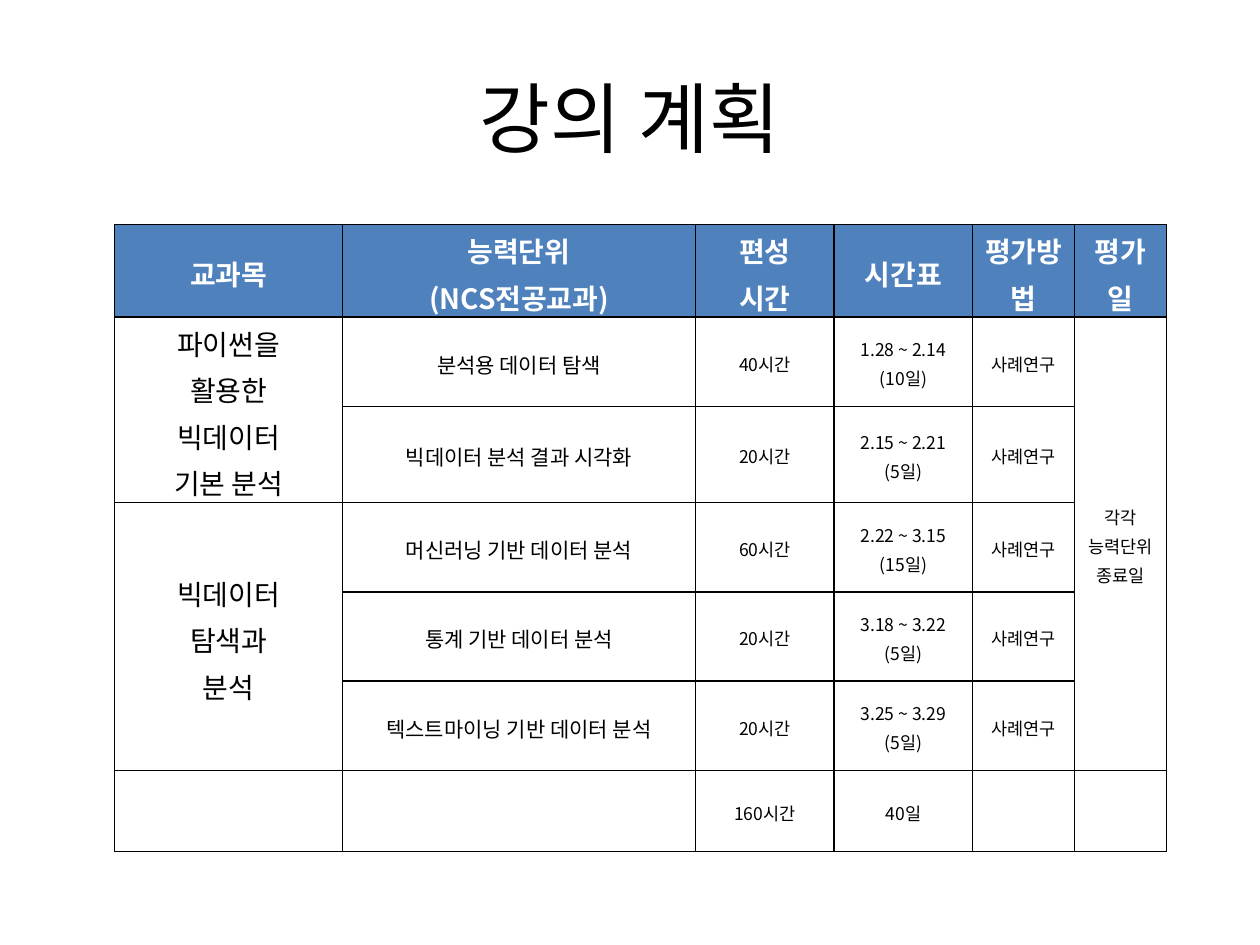
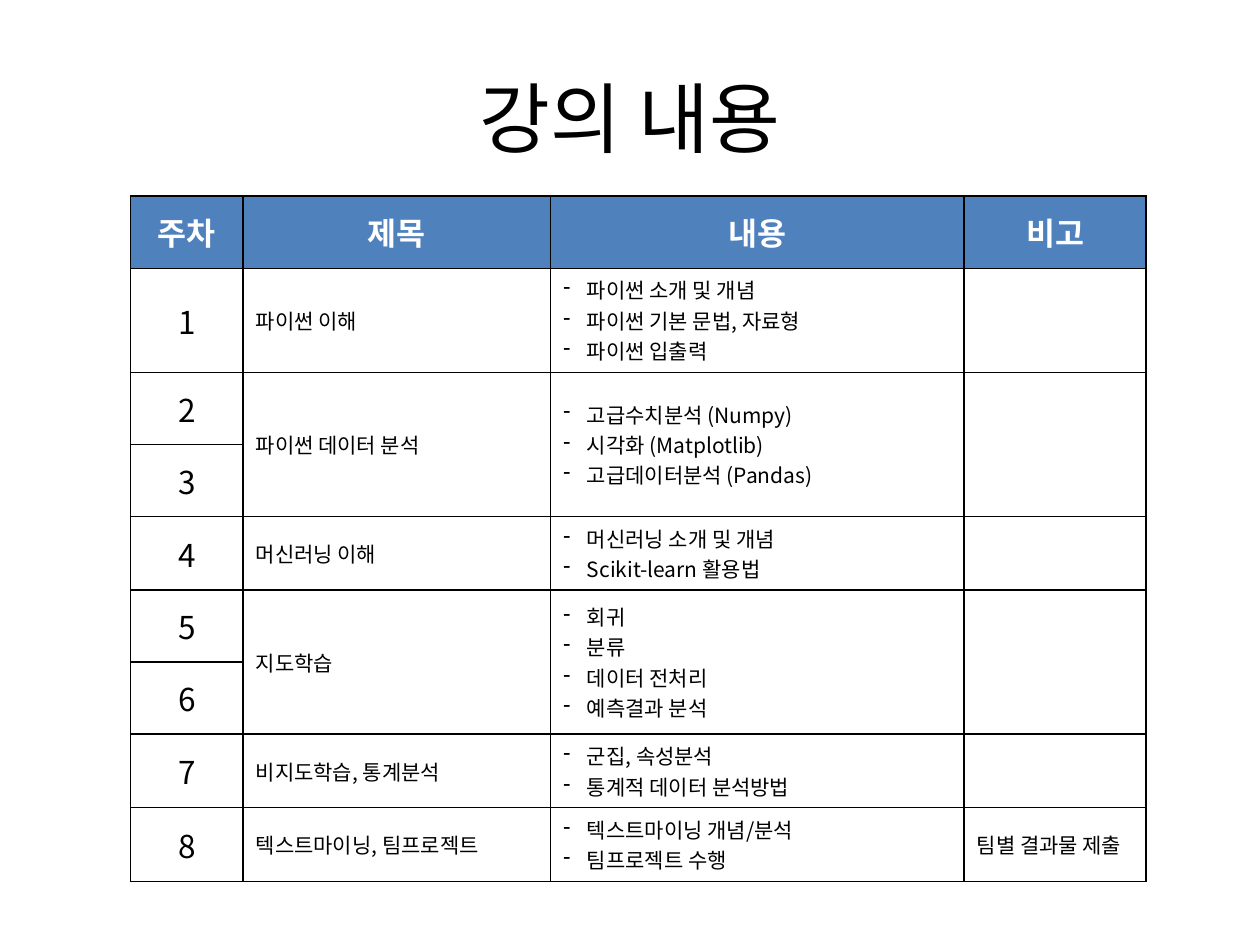
from lxml import etree
from pptx import Presentation
from pptx.dml.color import RGBColor
from pptx.enum.text import MSO_ANCHOR, PP_ALIGN
from pptx.oxml.ns import qn
from pptx.util import Pt

CENTER, LEFT = PP_ALIGN.CENTER, PP_ALIGN.LEFT
MIDDLE = MSO_ANCHOR.MIDDLE
FONT = "Noto Sans CJK KR"
COLORS = {"text": "000000", "header": "4F81BD", "header_text": "FFFFFF",
          "body": "FFFFFF", "border": "000000"}
BULLET_INDENT = Pt(13.5)
TITLE_BOX = {"left": Pt(36), "top": Pt(21.6), "width": Pt(648), "height": Pt(90)}

PLAN = {
    "left": 65.5, "top": 128.2,
    "widths": [130.3, 201.6, 79.2, 79.2, 58.3, 52.6],
    "heights": [51.1, 51.1, 54, 51.1, 51.1, 51.1, 46.1],
    "margins": (5, 0), "line_spacing": 1.15, "header_size": 16,
    "columns": [{"size": 16}, {"size": 12}, {"size": 10},
                {"size": 10}, {"size": 10}, {"size": 10}],
    "rows": [
        ["교과목", "능력단위\n(NCS전공교과)", "편성\n시간", "시간표", "평가방법", "평가일"],
        ["파이썬을\n활용한\n빅데이터\n기본 분석", "분석용 데이터 탐색", "40시간",
         "1.28 ~ 2.14\n(10일)", "사례연구", "각각\n능력단위\n종료일"],
        [None, "빅데이터 분석 결과 시각화", "20시간", "2.15 ~ 2.21\n(5일)", "사례연구", None],
        ["빅데이터\n탐색과\n분석", "머신러닝 기반 데이터 분석", "60시간",
         "2.22 ~ 3.15\n(15일)", "사례연구", None],
        [None, "통계 기반 데이터 분석", "20시간", "3.18 ~ 3.22\n(5일)", "사례연구", None],
        [None, "텍스트마이닝 기반 데이터 분석", "20시간", "3.25 ~ 3.29\n(5일)", "사례연구", None],
        ["", "", "160시간", "40일", "", ""],
    ],
}

CONTENTS = {
    "left": 74.6, "top": 112.1,
    "widths": [64.4, 175.7, 236.3, 103.9],
    "heights": [41.2] * 9,
    "margins": (7.2, 3.6), "line_spacing": 1.0, "header_size": 18,
    "columns": [{"size": 18}, {"size": 12, "alignment": LEFT},
                {"size": 12, "alignment": LEFT, "bullet": "-"},
                {"size": 12, "alignment": LEFT}],
    "rows": [
        ["주차", "제목", "내용", "비고"],
        ["1", "파이썬 이해", "파이썬 소개 및 개념\n파이썬 기본 문법, 자료형\n파이썬 입출력", ""],
        ["2", "파이썬 데이터 분석",
         "고급수치분석 (Numpy)\n시각화 (Matplotlib)\n고급데이터분석 (Pandas)", ""],
        ["3", None, None, None],
        ["4", "머신러닝 이해", "머신러닝 소개 및 개념\nScikit-learn 활용법", ""],
        ["5", "지도학습", "회귀\n분류\n데이터 전처리\n예측결과 분석", ""],
        ["6", None, None, None],
        ["7", "비지도학습, 통계분석", "군집, 속성분석\n통계적 데이터 분석방법", ""],
        ["8", "텍스트마이닝, 팀프로젝트", "텍스트마이닝 개념/분석\n팀프로젝트 수행", "팀별 결과물 제출"],
    ],
}


def set_attributes(target, values):
    for name, value in values.items():
        setattr(target, name, value)


def add_text(paragraph, text, size, color, bold=False):
    run = paragraph.add_run()
    run.text = text
    set_attributes(run.font, {"name": FONT, "size": Pt(size), "bold": bold})
    run.font.color.rgb = RGBColor.from_string(COLORS[color])
    east_asian = etree.SubElement(run.font._element, qn("a:ea"))
    east_asian.set("typeface", FONT)


def add_bullet(paragraph, character):
    properties = paragraph._p.get_or_add_pPr()
    properties.set("marL", str(int(BULLET_INDENT)))
    properties.set("indent", str(-int(BULLET_INDENT)))
    etree.SubElement(properties, qn("a:buChar")).set("char", character)


def add_borders(cell):
    properties = cell._tc.get_or_add_tcPr()
    for side in ("lnL", "lnR", "lnT", "lnB"):
        line = etree.SubElement(properties, qn(f"a:{side}"), w=str(int(Pt(1))))
        fill = etree.SubElement(line, qn("a:solidFill"))
        etree.SubElement(fill, qn("a:srgbClr"), val=COLORS["border"])


def fill_cell(cell, text, layout, column, is_header):
    horizontal, vertical = layout["margins"]
    set_attributes(cell, {
        "vertical_anchor": MIDDLE,
        "margin_left": Pt(horizontal), "margin_right": Pt(horizontal),
        "margin_top": Pt(vertical), "margin_bottom": Pt(vertical)})
    add_borders(cell)
    cell.fill.solid()
    cell.fill.fore_color.rgb = RGBColor.from_string(COLORS["header" if is_header else "body"])
    if not text:
        return
    style = {"size": layout["header_size"]} if is_header else column
    frame = cell.text_frame
    for index, line in enumerate(text.split("\n")):
        paragraph = frame.add_paragraph() if index else frame.paragraphs[0]
        set_attributes(paragraph, {"alignment": style.get("alignment", CENTER),
                                   "line_spacing": layout["line_spacing"]})
        if "bullet" in style:
            add_bullet(paragraph, style["bullet"])
        add_text(paragraph, line, style["size"],
                 "header_text" if is_header else "text", is_header)


def merge_downward(table, rows):
    for column in range(len(rows[0])):
        start = 0
        for row in range(1, len(rows) + 1):
            if row < len(rows) and rows[row][column] is None:
                continue
            if row - start > 1:
                table.cell(start, column).merge(table.cell(row - 1, column))
            start = row


def add_schedule_table(slide, layout):
    rows, widths, heights = layout["rows"], layout["widths"], layout["heights"]
    shape = slide.shapes.add_table(
        len(rows), len(widths), Pt(layout["left"]), Pt(layout["top"]),
        Pt(sum(widths)), Pt(sum(heights)))
    table = shape.table
    set_attributes(table, {"first_row": False, "horz_banding": False})
    for column, width in zip(table.columns, widths):
        column.width = Pt(width)
    for row, height in zip(table.rows, heights):
        row.height = Pt(height)
    for row_index, texts in enumerate(rows):
        for column_index, text in enumerate(texts):
            fill_cell(table.cell(row_index, column_index), text, layout,
                      layout["columns"][column_index], row_index == 0)
    merge_downward(table, rows)


def add_titled_slide(presentation, title):
    slide = presentation.slides.add_slide(presentation.slide_layouts[5])
    shape = slide.shapes.title
    set_attributes(shape, TITLE_BOX)
    shape.text_frame.vertical_anchor = MIDDLE
    paragraph = shape.text_frame.paragraphs[0]
    paragraph.alignment = CENTER
    add_text(paragraph, title, 44, "text")
    return slide


def main():
    presentation = Presentation()
    set_attributes(presentation, {"slide_width": Pt(720), "slide_height": Pt(540)})
    for title, layout in (("강의 계획", PLAN), ("강의 내용", CONTENTS)):
        add_schedule_table(add_titled_slide(presentation, title), layout)
    presentation.save("out.pptx")


if __name__ == "__main__":
    main()
